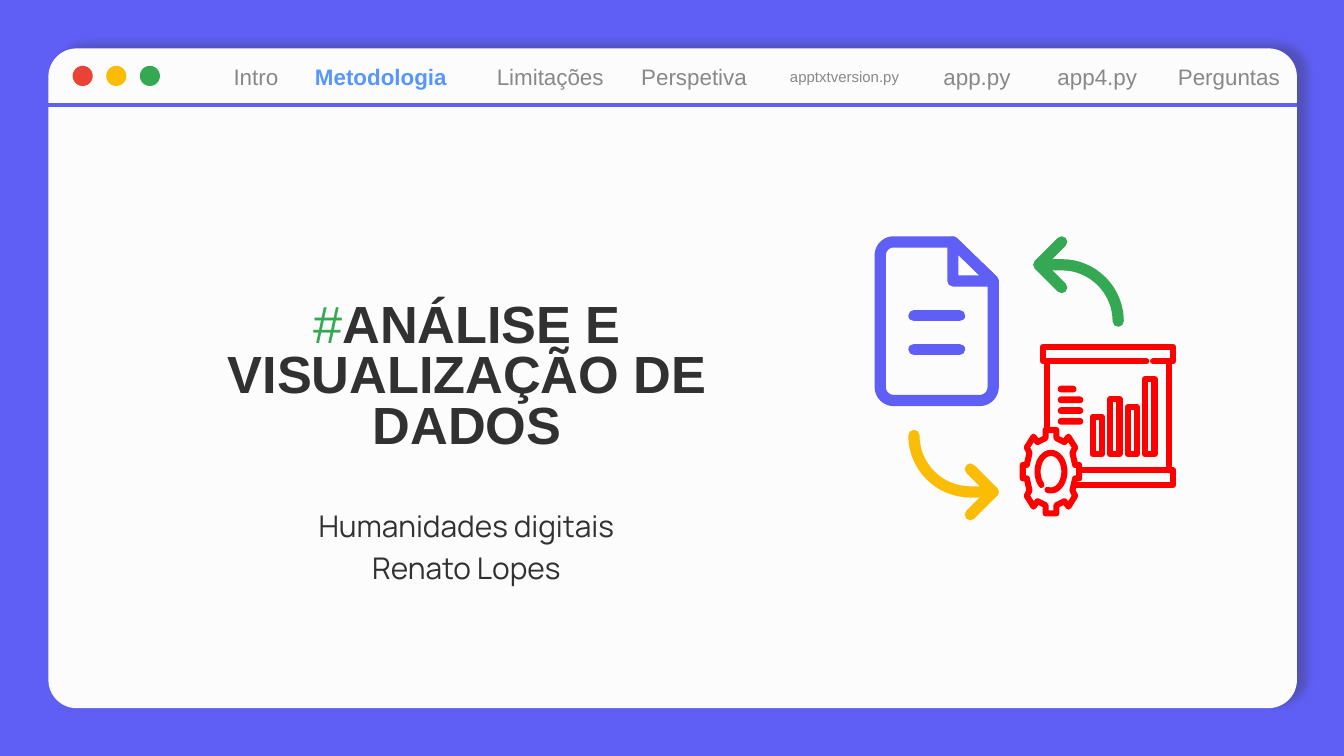
import math
from dataclasses import dataclass

import pptx
import pptx.dml.color
import pptx.enum.shapes
import pptx.enum.text
import pptx.oxml
import pptx.oxml.ns
import pptx.util
from lxml import etree

Inches = pptx.util.Inches
Pt = pptx.util.Pt
qn = pptx.oxml.ns.qn
SHAPE = pptx.enum.shapes.MSO_SHAPE
ANCHOR = pptx.enum.text.MSO_ANCHOR
CENTER = pptx.enum.text.PP_ALIGN.CENTER


@dataclass(frozen=True)
class Theme:
    violet: str = "5F5FF5"
    paper: str = "FCFCFC"
    ink: str = "313131"
    muted: str = "888888"
    active: str = "5796FD"
    green: str = "34A853"
    yellow: str = "FBBC05"
    coral: str = "EA4335"
    red: str = "FF0000"
    sans: str = "Arial"
    body: str = "Manrope"
    title_size: int = 28
    subtitle_size: int = 16
    tab_size: int = 12
    small_tab_size: int = 8
    icon_line: float = 6
    board_line: float = 3.25
    rule_line: float = 2.25


THEME = Theme()

# label, left offset in the window, width
TABS = [
    ("Intro", 1.03, 1.03),
    ("Metodologia", 1.86, 1.23),
    ("Limitações", 3.22, 1.03),
    ("Perspetiva", 4.20, 1.21),
    ("apptxtversion.py", 5.41, 1.03),
    ("app.py", 6.37, 1.08),
    ("app4.py", 7.29, 1.03),
    ("Perguntas", 8.25, 1.13),
]


def rgb(value):
    return pptx.dml.color.RGBColor.from_string(value)


def apply(target, values):
    for name, value in values.items():
        setattr(target, name, value)


def style_run(run, color, size, font, bold=False):
    apply(run.font, {"size": Pt(size), "name": font, "bold": bold})
    run.font.color.rgb = rgb(color)


def set_frame(frame, anchor, inset):
    margins = {f"margin_{side}": Inches(inset) for side in ("left", "right", "top", "bottom")}
    apply(frame, {"word_wrap": True, "vertical_anchor": anchor,
                  "auto_size": pptx.enum.text.MSO_AUTO_SIZE.NONE, **margins})


def place(shape, box):
    apply(shape, dict(zip(("left", "top", "width", "height"), map(Inches, box))))


def add_box(shapes, kind, box, fill=None, adjust=None):
    shape = shapes.add_shape(kind, *map(Inches, box))
    shape.shadow.inherit = False
    shape.line.fill.background()
    if fill:
        shape.fill.solid()
        shape.fill.fore_color.rgb = rgb(fill)
    else:
        shape.fill.background()
    if adjust is not None:
        shape.adjustments[0] = adjust
    return shape


def stroke(shape, color, width, rounded=True):
    shape.line.color.rgb = rgb(color)
    shape.line.width = Pt(width)
    if rounded:
        line = shape.element.spPr.find(qn("a:ln"))
        line.set("cap", "rnd")
        etree.SubElement(line, qn("a:round"))


def add_line(shapes, start, end, color, width, rounded=True):
    line = shapes.add_connector(pptx.enum.shapes.MSO_CONNECTOR.STRAIGHT,
                                *map(Inches, (*start, *end)))
    stroke(line, color, width, rounded)
    etree.SubElement(line.element.spPr, qn("a:effectLst"))


def add_outline(shapes, origin, contours, color, width):
    """Stroke one freeform of (points, closed) contours, offset from origin."""
    builder = None
    for points, closed in contours:
        start, *rest = [(Inches(origin[0] + x), Inches(origin[1] + y)) for x, y in points]
        if builder is None:
            builder = shapes.build_freeform(*start)
        else:
            builder.move_to(*start)
        builder.add_line_segments(rest, close=closed)
    shape = builder.convert_to_shape()
    shape.shadow.inherit = False
    shape.fill.background()
    stroke(shape, color, width)


def arc(cx, cy, rx, ry, start, end, steps=16):
    angles = [math.radians(start + (end - start) * i / steps) for i in range(steps + 1)]
    return [(cx + rx * math.cos(a), cy + ry * math.sin(a)) for a in angles]


def add_window(shapes, box):
    left, top, width, height = box
    panel = add_box(shapes, SHAPE.ROUNDED_RECTANGLE, box, THEME.paper, 0.043)
    effects = panel.element.spPr.find(qn("a:effectLst"))
    shadow = etree.SubElement(effects, qn("a:outerShdw"), blurRad=str(Pt(4.5)),
                              dist=str(Pt(6)), dir=str(342 * 60000), rotWithShape="0")
    color = etree.SubElement(shadow, qn("a:srgbClr"), val=THEME.ink)
    etree.SubElement(color, qn("a:alpha"), val="30000")

    add_tabs(shapes, (left, top, width, 0.42))
    buttons = shapes.add_group_shape().shapes
    for i, fill in enumerate((THEME.coral, THEME.yellow, THEME.green)):
        add_box(buttons, SHAPE.OVAL, (left + 0.18 + 0.25 * i, top + 0.13, 0.15, 0.15), fill)
    add_line(shapes, (left, top + 0.42), (left + width, top + 0.42),
             THEME.violet, THEME.rule_line, rounded=False)


def add_tabs(shapes, box):
    left, top, _, height = box
    for label, offset, width in TABS:
        last, current = label == "Perguntas", label == "Metodologia"
        kind = SHAPE.ROUND_1_RECTANGLE if last else SHAPE.ROUNDED_RECTANGLE
        tab = add_box(shapes, kind, (left + offset, top, width, height),
                      adjust=0.5 if last else 0.06)
        set_frame(tab.text_frame, ANCHOR.MIDDLE, 0.1 if last else 0)
        paragraph = tab.text_frame.paragraphs[0]
        paragraph.alignment = CENTER
        run = paragraph.add_run()
        run.text = label
        style_run(run, THEME.active if current else THEME.muted,
                  THEME.small_tab_size if label == "apptxtversion.py" else THEME.tab_size,
                  THEME.sans, current)


def fill_heading(slide, box):
    left, top, width, _ = box
    title, subtitle = slide.placeholders
    place(title, (left, top, width, 1.79))
    place(subtitle, (left + 0.54, top + 1.95, 3.36, 0.68))
    for holder, anchor, spacing in ((title, ANCHOR.BOTTOM, 0.8), (subtitle, ANCHOR.TOP, 1.15)):
        set_frame(holder.text_frame, anchor, 0.1)
        apply(holder.text_frame.paragraphs[0],
              {"alignment": CENTER, "line_spacing": spacing, "space_before": Pt(0)})
        holder.element.getparent().append(holder.element)  # bring in front of the window

    heading = title.text_frame.paragraphs[0]
    for text, color, bold in (("#", THEME.green, False),
                              ("ANÁLISE E VISUALIZAÇÃO DE DADOS", THEME.ink, True)):
        run = heading.add_run()
        run.text = text
        style_run(run, color, THEME.title_size, THEME.sans, bold)

    credits = subtitle.text_frame.paragraphs[0]
    for i, text in enumerate(("Humanidades digitais", "Renato Lopes")):
        if i:
            credits.add_line_break()
        run = credits.add_run()
        run.text = text
        style_run(run, THEME.ink, THEME.subtitle_size, THEME.body)


def add_curved_arrow(shapes, tip, turn, color):
    """Arrow pointing left from its tip when turn is 1, rotated half a turn when -1."""
    head = [(0.17, 0.17), (0, 0), (0.17, -0.17)]
    stem = [(0, 0), *arc(0.17, 0.42, 0.42, 0.42, -90, 0)]
    for points in (head, stem):
        turned = [(turn * x, turn * y) for x, y in points]
        add_outline(shapes, tip, [(turned, False)], color, THEME.icon_line)


def add_document_cycle(shapes, box):
    left, top, _, _ = box
    icon = shapes.add_group_shape().shapes
    add_curved_arrow(icon, (left + 1.18, top + 0.17), 1, THEME.green)
    add_curved_arrow(icon, (left + 0.84, top + 1.86), -1, THEME.yellow)
    page = [(0.54, 0), *arc(0.1, 0.1, 0.1, 0.1, 270, 180), *arc(0.1, 1.08, 0.1, 0.1, 180, 90),
            *arc(0.74, 1.08, 0.1, 0.1, 90, 0), (0.84, 0.29)]
    fold = [(0.54, 0), (0.54, 0.29), (0.84, 0.29)]
    for points in (page, fold):
        add_outline(icon, (left, top), [(points, True)], THEME.violet, THEME.icon_line)
    for y in (top + 0.55, top + 0.8):
        add_line(icon, (left + 0.25, y), (left + 0.59, y), THEME.violet, THEME.icon_line)


def gear_points(cx, cy):
    quarter = [(0.04, -0.31), (0.04, -0.25), (0.1, -0.22), (0.13, -0.26),
               (0.18, -0.18), (0.16, -0.14), (0.18, -0.05), (0.21, -0.05)]
    half = quarter + [(x, -y) for x, y in reversed(quarter)]
    ring = half + [(-x, y) for x, y in reversed(half)]
    return [(cx + x, cy + y) for x, y in ring]


def bar_points(x, top, bottom=0.82, width=0.07):
    return [(x, top), (x + width, top), (x + width, bottom), (x, bottom)]


def add_chart_board(shapes, box):
    left, top, _, _ = box
    icon = shapes.add_group_shape().shapes
    board = [
        ([(0.95, 0.13), (0.18, 0.13), (0.18, 0.02), (1.15, 0.02), (1.15, 0.13), (1, 0.13)], False),
        ([(0.21, 0.13), (0.21, 0.64)], False),
        ([(1.12, 0.13), (1.12, 0.94)], False),
        ([(0.45, 0.94), (1.15, 0.94), (1.15, 1.05), (0.42, 1.05)], False),
        (gear_points(0.24, 0.95), True),
    ]
    bars = [[(bar_points(0.55 + 0.13 * i, bar_top), True)]
            for i, bar_top in enumerate((0.54, 0.41, 0.47, 0.26))]
    hub = [(arc(0.24, 0.95, 0.1, 0.14, 135, 465, 32), False)]
    for contours in (board, *bars, hub):
        add_outline(icon, (left, top), contours, THEME.red, THEME.board_line)
    for i, length in enumerate((0.14, 0.19, 0.19, 0.19)):
        add_box(icon, SHAPE.ROUNDED_RECTANGLE,
                (left + 0.29, top + 0.31 + 0.08 * i, length, 0.05), THEME.red, 0.5)


def main():
    deck = pptx.Presentation()
    width = Inches(10)
    apply(deck, {"slide_width": width, "slide_height": width * 9 // 16})
    slide = deck.slides.add_slide(deck.slide_layouts[0])
    slide.background.fill.solid()
    slide.background.fill.fore_color.rgb = rgb(THEME.violet)
    add_window(slide.shapes, (0.36, 0.36, 9.29, 4.91))
    fill_heading(slide, (1.25, 1.69, 4.45, 2.63))
    add_document_cycle(slide.shapes, (6.55, 1.8, 1.77, 2.02))
    add_chart_board(slide.shapes, (7.58, 2.56, 1.17, 1.28))
    deck.save("out.pptx")


if __name__ == "__main__":
    main()
